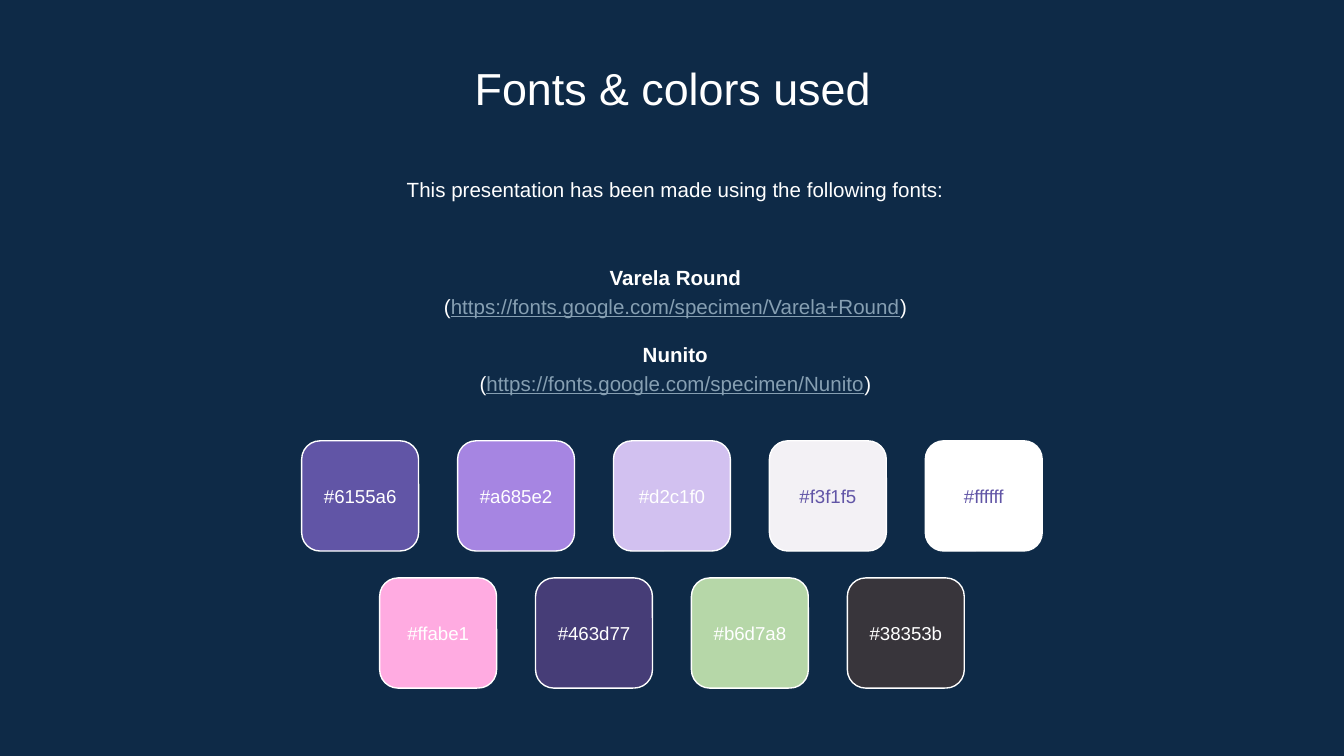
from pptx import Presentation
from pptx.dml.color import RGBColor
from pptx.enum.shapes import MSO_SHAPE
from pptx.enum.text import MSO_ANCHOR, PP_ALIGN
from pptx.util import Inches, Pt

ROUNDED = MSO_SHAPE.ROUNDED_RECTANGLE
CENTER = PP_ALIGN.CENTER
TOP = MSO_ANCHOR.TOP
MIDDLE = MSO_ANCHOR.MIDDLE

SLIDE_WIDTH = 10
SLIDE_HEIGHT = SLIDE_WIDTH * 9 / 16
NAVY, WHITE, PURPLE, LINK = "0E2A47", "FFFFFF", "6155A6", "869FB2"
SWATCH_WIDTH, SWATCH_HEIGHT, SWATCH_PITCH = 0.87, 0.82, 1.16
LABEL_HEIGHT = 0.48

FONTS = [
    ("Varela Round", "https://fonts.google.com/specimen/Varela+Round"),
    ("Nunito", "https://fonts.google.com/specimen/Nunito"),
]
SWATCH_ROWS = [
    (3.28, ["6155a6", "a685e2", "d2c1f0", "f3f1f5", "ffffff"]),
    (4.3, ["ffabe1", "463d77", "b6d7a8", "38353b"]),
]
PALE_SWATCHES = {"f3f1f5", "ffffff"}


def color(value):
    return RGBColor.from_string(value.upper())


class StyleSlide:
    """Draws styled text and colour swatches on one slide."""

    font = "Arial"

    def __init__(self, deck):
        self.slide = deck.slides.add_slide(deck.slide_layouts[6])
        background = self.slide.background.fill
        background.solid()
        background.fore_color.rgb = color(NAVY)

    def text_box(self, left, top, width, height, anchor=MIDDLE):
        box = self.slide.shapes.add_textbox(
            Inches(left), Inches(top), Inches(width), Inches(height))
        frame = box.text_frame
        frame.word_wrap = True
        frame.vertical_anchor = anchor
        frame.margin_left = frame.margin_right = Inches(0.1)
        frame.margin_top = frame.margin_bottom = Inches(0.1)
        return frame

    def paragraph(self, frame, first=True, spacing=1.0):
        para = frame.paragraphs[0] if first else frame.add_paragraph()
        para.alignment = CENTER
        para.line_spacing = spacing
        return para

    def run(self, para, text, size=11, ink=WHITE, bold=False, underline=False):
        span = para.add_run()
        span.text = text
        span.font.name = self.font
        span.font.size = Pt(size)
        span.font.bold = bold
        span.font.underline = underline
        span.font.color.rgb = color(ink)

    def swatch(self, left, top, fill):
        shape = self.slide.shapes.add_shape(
            ROUNDED, Inches(left), Inches(top),
            Inches(SWATCH_WIDTH), Inches(SWATCH_HEIGHT))
        shape.shadow.inherit = False
        shape.fill.solid()
        shape.fill.fore_color.rgb = color(fill)
        shape.line.color.rgb = color(WHITE)
        shape.line.width = Pt(0.75)
        label_top = top + (SWATCH_HEIGHT - LABEL_HEIGHT) / 2
        frame = self.text_box(left, label_top, SWATCH_WIDTH, LABEL_HEIGHT)
        ink = PURPLE if fill in PALE_SWATCHES else WHITE
        self.run(self.paragraph(frame), f"#{fill}", 10, ink)

    def swatch_row(self, top, fills):
        row_width = (len(fills) - 1) * SWATCH_PITCH + SWATCH_WIDTH
        left = (SLIDE_WIDTH - row_width) / 2
        for index, fill in enumerate(fills):
            self.swatch(left + index * SWATCH_PITCH, top, fill)

    def font_list(self, frame, fonts):
        for index, (name, address) in enumerate(fonts):
            heading = self.paragraph(frame, index == 0, 1.15)
            if index:
                heading.space_before = Pt(11)
            self.run(heading, name, bold=True)
            source = self.paragraph(frame, False, 1.15)
            self.run(source, "(")
            self.run(source, address, ink=LINK, underline=True)
            self.run(source, ")")


def main():
    deck = Presentation()
    deck.slide_width = Inches(SLIDE_WIDTH)
    deck.slide_height = Inches(SLIDE_HEIGHT)
    page = StyleSlide(deck)

    intro = page.text_box(1.17, 1.19, 7.71, 0.48, TOP)
    page.run(page.paragraph(intro, spacing=1.15),
             "This presentation has been made using the following fonts:")

    page.font_list(page.text_box(1.17, 1.76, 7.71, 1.37), FONTS)

    for top, fills in SWATCH_ROWS:
        page.swatch_row(top, fills)

    title = page.text_box(1.15, 0.35, 7.71, 0.53, TOP)
    page.run(page.paragraph(title), "Fonts & colors used", 24)

    deck.save("out.pptx")


if __name__ == "__main__":
    main()
